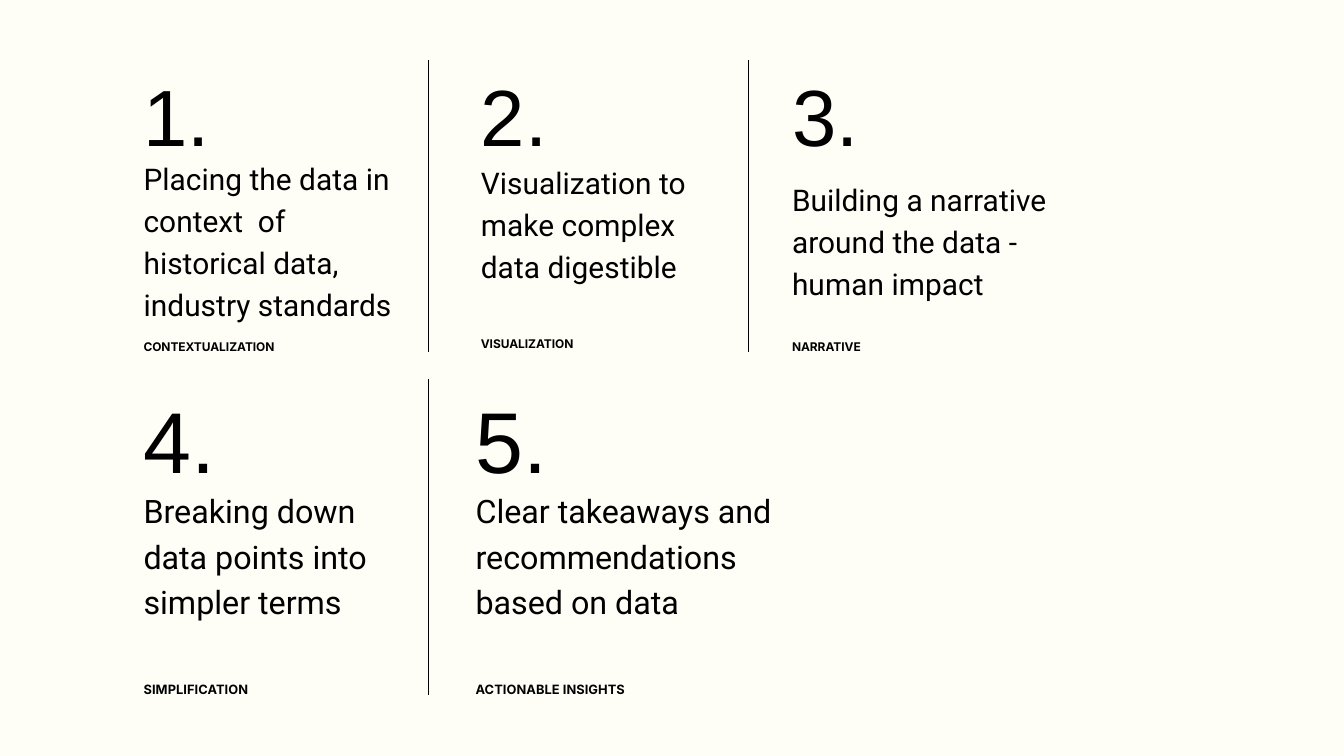
from dataclasses import dataclass

from lxml import etree
from pptx import Presentation
from pptx import util as u
from pptx.dml.color import RGBColor
from pptx.enum import shapes, text
from pptx.oxml import ns

PX = 4572  # EMU per px, 200 px to the inch


@dataclass(frozen=True)
class Style:
    font: str
    lead: float
    bold: bool = False


@dataclass(frozen=True)
class Sizes:
    num: float
    body: float
    tag: float


@dataclass(frozen=True)
class Theme:
    paper: RGBColor = RGBColor(0xFE, 0xFE, 0xF7)
    ink: RGBColor = RGBColor(0, 0, 0)
    num: Style = Style("Arial", 0.85)
    body: Style = Style("Roboto", 1.17)
    tag: Style = Style("Inter", 1.21, True)
    upper: Sizes = Sizes(42.7, 16.04, 6.4)
    lower: Sizes = Sizes(46.2, 17.3, 6.94)


@dataclass(frozen=True)
class Row:
    """Shared tops, heights and type sizes of one row of cards."""
    num_top: int
    num_high: int
    body_top: int
    sizes: Sizes


@dataclass(frozen=True)
class Card:
    row: Row
    left: int
    num: str
    body: str
    tag: str
    num_wide: int
    body_wide: int
    body_high: int
    tag_wide: int
    tag_top: int


@dataclass(frozen=True)
class Rule:
    x: int
    top: int
    end: int
    width: float


THEME = Theme()
UPPER = Row(131, 102, 251, THEME.upper)
LOWER = Row(610, 110, 739, THEME.lower)
TAG_HIGH = 22

CARDS = [
    Card(UPPER, 194, "1.", "Placing the data in context  of historical data, industry standards",
         "CONTEXTUALIZATION", 188, 426, 208, 326, 503),
    Card(UPPER, 696, "2.", "Visualization to make complex data digestible",
         "VISUALIZATION", 192, 426, 156, 260, 498),
    Card(UPPER, 1159, "3.", "Building a narrative around the data - human impact",
         "NARRATIVE", 192, 426, 208, 218, 503),
    Card(LOWER, 194, "4.", "Breaking down data points into simpler terms",
         "SIMPLIFICATION", 200, 452, 168, 282, 1013),
    Card(LOWER, 688, "5.", "Clear takeaways and recommendations based on data",
         "ACTIONABLE INSIGHTS", 200, 482, 168, 358, 1013),
]
RULES = [Rule(638, 90, 524, 0.75), Rule(1114, 90, 524, 0.75), Rule(638, 564, 1034, 0.77)]


def px(n: int) -> u.Emu:
    return u.Emu(n * PX)


def draw_rule(slide, rule: Rule) -> None:
    line = slide.shapes.add_connector(
        shapes.MSO_CONNECTOR.STRAIGHT, px(rule.x), px(rule.top), px(rule.x), px(rule.end))
    line.line.color.rgb = THEME.ink
    line.line.width = u.Pt(rule.width)
    etree.SubElement(line._element.spPr, ns.qn("a:effectLst"))


def draw_text(slide, words: str, style: Style, size: float,
              left: int, top: int, wide: int, high: int) -> None:
    frame = slide.shapes.add_textbox(px(left), px(top), px(wide), px(high)).text_frame
    frame.word_wrap = True
    frame.vertical_anchor = text.MSO_ANCHOR.MIDDLE
    para = frame.paragraphs[0]
    para.line_spacing = style.lead
    run = para.add_run()
    run.text = words
    font = run.font
    font.name, font.size, font.bold = style.font, u.Pt(size), style.bold
    font.color.rgb = THEME.ink


def draw_card(slide, card: Card) -> None:
    row, sizes = card.row, card.row.sizes
    draw_text(slide, card.num, THEME.num, sizes.num,
              card.left, row.num_top, card.num_wide, row.num_high)
    draw_text(slide, card.body, THEME.body, sizes.body,
              card.left, row.body_top, card.body_wide, card.body_high)
    draw_text(slide, card.tag, THEME.tag, sizes.tag,
              card.left, card.tag_top, card.tag_wide, TAG_HIGH)


def main() -> None:
    # Blank slide with a cream ground
    deck = Presentation()
    deck.slide_width, deck.slide_height = px(2000), px(1125)
    slide = deck.slides.add_slide(deck.slide_layouts[6])
    fill = slide.background.fill
    fill.solid()
    fill.fore_color.rgb = THEME.paper

    # Column rules
    for rule in RULES:
        draw_rule(slide, rule)

    # Numbered cards
    for card in CARDS:
        draw_card(slide, card)

    deck.save("out.pptx")


if __name__ == "__main__":
    main()
